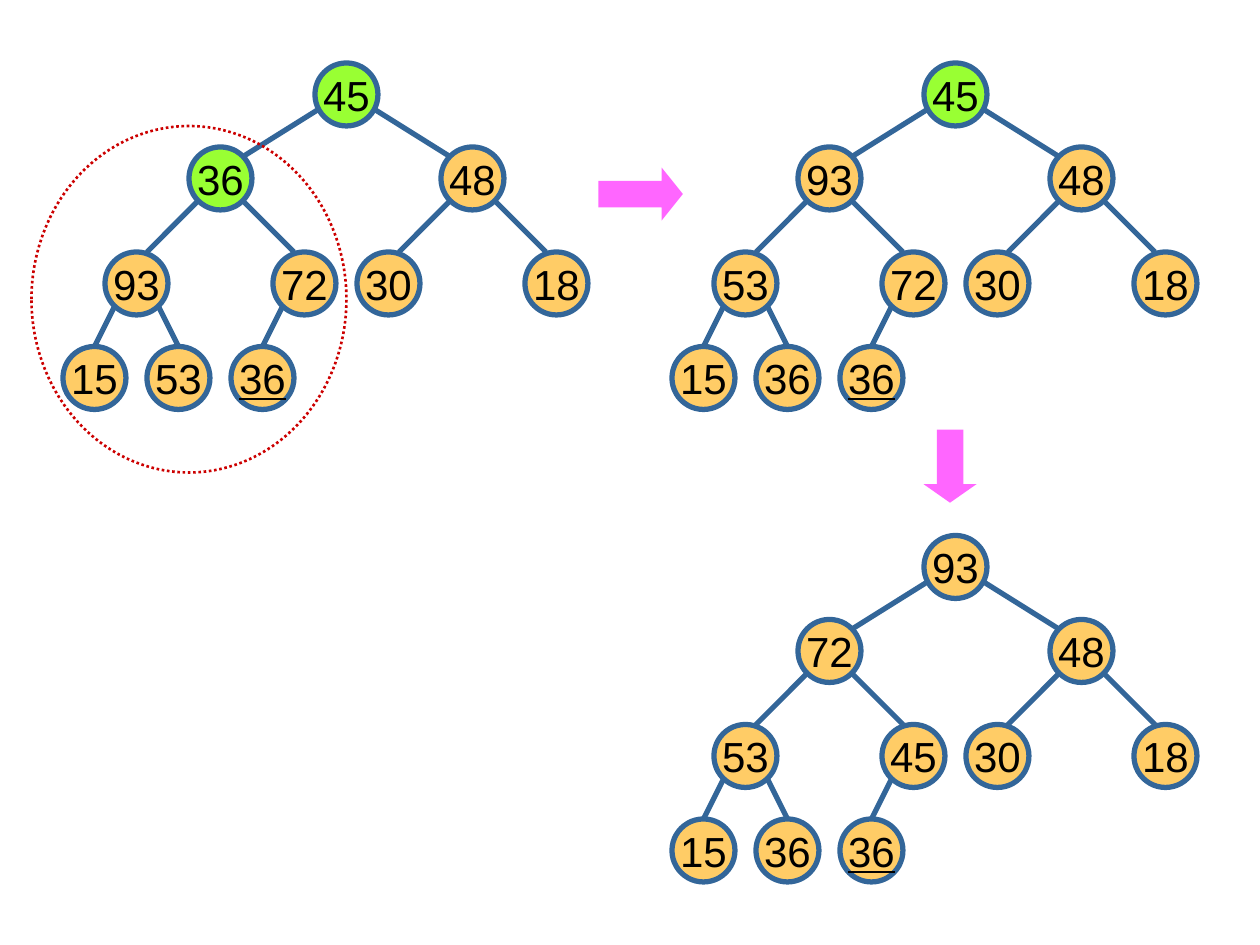
from pptx import Presentation
from pptx.dml.color import RGBColor
from pptx.enum.dml import MSO_LINE
from pptx.enum.shapes import MSO_CONNECTOR, MSO_SHAPE
from pptx.enum.text import MSO_ANCHOR, PP_ALIGN
from pptx.util import Inches, Pt
from lxml import etree

STRAIGHT = MSO_CONNECTOR.STRAIGHT
ELLIPSE = MSO_SHAPE.OVAL
RIGHT_ARROW = MSO_SHAPE.RIGHT_ARROW
DOWN_ARROW = MSO_SHAPE.DOWN_ARROW
DOTTED = MSO_LINE.ROUND_DOT
MIDDLE = MSO_ANCHOR.MIDDLE
CENTER = PP_ALIGN.CENTER

COLORS = {
    "edge": "336699",
    "node": "FFCC66",
    "active": "99FF33",
    "arrow": "FF66FF",
    "focus": "CC0000",
    "text": "000000",
}
DRAWING_NS = "http://schemas.openxmlformats.org/drawingml/2006/main"

# Trees lie on a grid of six cells to the inch; a node is three cells wide.
CELLS_PER_INCH = 6
NODE_SIZE = 3
# Offset of each node from its tree's corner, in heap (level) order.
NODE_OFFSETS = [
    (12, 0),
    (6, 4), (18, 4),
    (2, 9), (10, 9), (14, 9), (22, 9),
    (0, 13.5), (4, 13.5), (8, 13.5),
]
# Per parent level: start depth in the parent, then the end point in a left child.
EDGE_ENDS = [(2, 2.5, 0.5), (2.5, 2, 0), (2.5, 1.5, 0)]
EDGE_START = 0.5

# Corner in cells, keys in heap order, number of highlighted nodes.
TREES = [
    ((3, 3), [45, 36, 48, 93, 72, 30, 18, 15, 53, 36], 2),
    ((32, 3), [45, 93, 48, 53, 72, 30, 18, 15, 36, 36], 1),
    ((32, 25.5), [93, 72, 48, 53, 45, 30, 18, 15, 36, 36], 0),
]


def cells(count):
    return Inches(count / CELLS_PER_INCH)


def color(name):
    return RGBColor.from_string(COLORS[name])


class HeapSlide:
    """Holds the style and the slide on which heaps are drawn."""

    font_name = "Arial"
    font_size = Pt(24)
    line_width = Pt(3)

    def __init__(self, slide):
        self.slide = slide

    def edge(self, shapes, start, end):
        connector = shapes.add_connector(
            STRAIGHT, *(cells(value) for value in (*start, *end)))
        connector.line.color.rgb = color("edge")
        connector.line.width = self.line_width
        properties = connector._element.spPr
        etree.SubElement(properties, f"{{{DRAWING_NS}}}effectLst")

    def node(self, shapes, corner, key, fill, underline):
        shape = shapes.add_shape(
            ELLIPSE, *(cells(value) for value in (*corner, NODE_SIZE, NODE_SIZE)))
        shape.shadow.inherit = False
        shape.fill.solid()
        shape.fill.fore_color.rgb = color(fill)
        shape.line.color.rgb = color("edge")
        shape.line.width = self.line_width
        frame = shape.text_frame
        frame.text = str(key)
        frame.word_wrap = False
        frame.vertical_anchor = MIDDLE
        paragraph = frame.paragraphs[0]
        paragraph.alignment = CENTER
        font = paragraph.runs[0].font
        font.name = self.font_name
        font.size = self.font_size
        font.color.rgb = color("text")
        if underline:
            font.underline = True

    def tree(self, origin, keys, active_count):
        """Draw a heap; its last key is underlined to tell equal keys apart."""
        shapes = self.slide.shapes.add_group_shape().shapes
        corners = [(origin[0] + x, origin[1] + y) for x, y in NODE_OFFSETS]
        for child in range(1, len(keys)):
            parent = (child - 1) // 2
            level = (parent + 1).bit_length() - 1
            start_y, end_x, end_y = EDGE_ENDS[level]
            start_x = EDGE_START
            if child % 2 == 0:
                start_x, end_x = NODE_SIZE - start_x, NODE_SIZE - end_x
            parent_x, parent_y = corners[parent]
            child_x, child_y = corners[child]
            self.edge(shapes, (parent_x + start_x, parent_y + start_y),
                      (child_x + end_x, child_y + end_y))
        for index, (corner, key) in enumerate(zip(corners, keys)):
            fill = "active" if index < active_count else "node"
            self.node(shapes, corner, key, fill, index == len(keys) - 1)

    def arrow(self, kind, left, top, width, height, head):
        shape = self.slide.shapes.add_shape(
            kind, Inches(left), Inches(top), Inches(width), Inches(height))
        shape.adjustments[1] = head
        shape.shadow.inherit = False
        shape.fill.solid()
        shape.fill.fore_color.rgb = color("arrow")
        shape.line.fill.background()

    def focus_ring(self, left, top, width, height):
        shape = self.slide.shapes.add_shape(
            ELLIPSE, Inches(left), Inches(top), Inches(width), Inches(height))
        shape.shadow.inherit = False
        shape.fill.background()
        shape.line.color.rgb = color("focus")
        shape.line.width = Pt(1.5)
        shape.line.dash_style = DOTTED


def main():
    presentation = Presentation()
    presentation.slide_width = Inches(10)
    presentation.slide_height = Inches(7.5)
    blank_layout = presentation.slide_layouts[6]
    heap_slide = HeapSlide(presentation.slides.add_slide(blank_layout))
    for origin, keys, active_count in TREES:
        heap_slide.tree(origin, keys, active_count)
    heap_slide.arrow(RIGHT_ARROW, 4.75, 1.33, 0.67, 0.42, 0.4)
    heap_slide.arrow(DOWN_ARROW, 7.33, 3.41, 0.42, 0.58, 0.35)
    heap_slide.focus_ring(0.25, 1, 2.5, 2.75)
    presentation.save("out.pptx")


if __name__ == "__main__":
    main()
